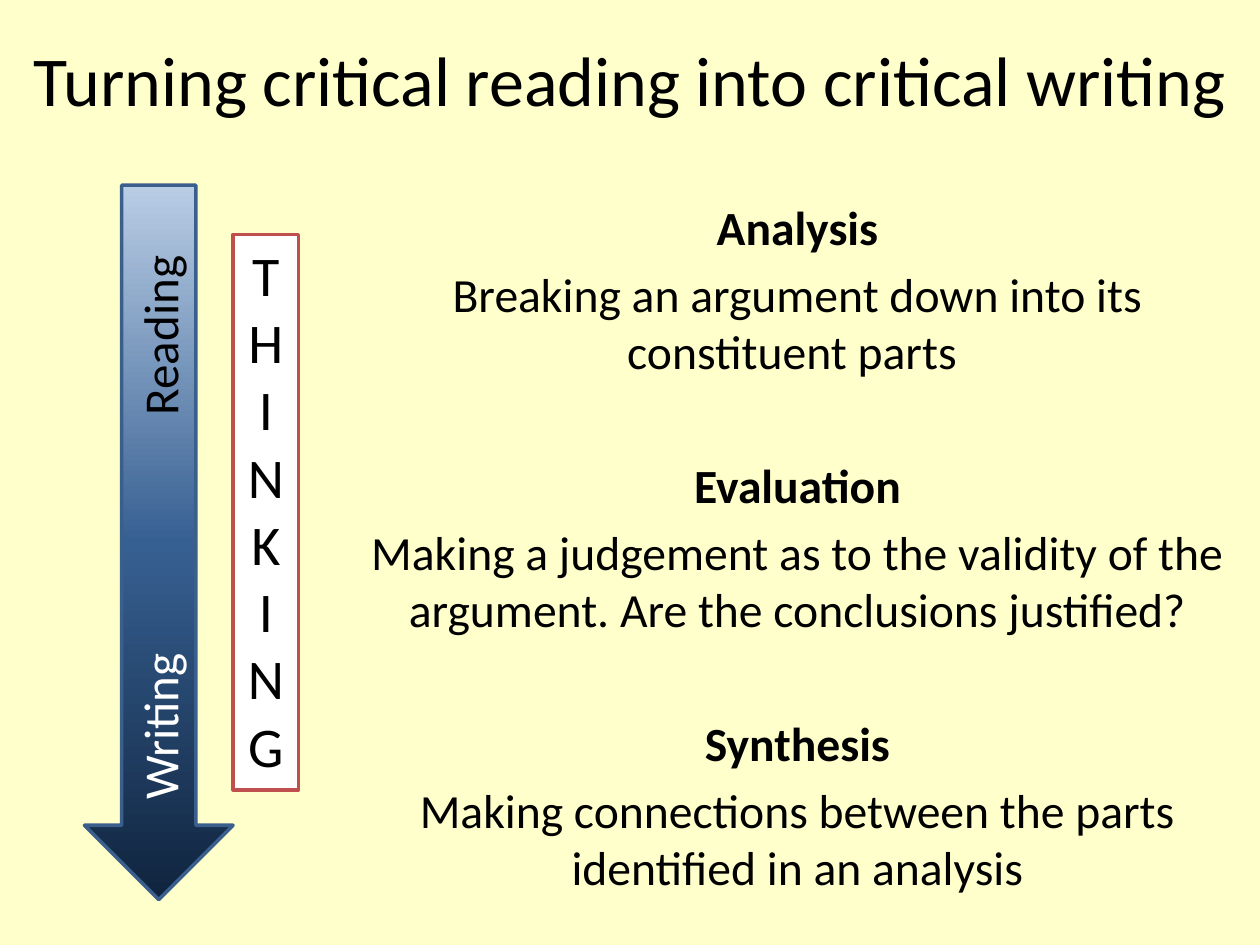
from copy import deepcopy

from pptx import Presentation
from pptx.dml.color import RGBColor
from pptx.enum.shapes import MSO_SHAPE as Shape
from pptx.enum.text import MSO_ANCHOR as Anchor, PP_ALIGN as Align
from pptx.oxml.ns import qn
from pptx.util import Inches, Pt

WIDTH, HEIGHT = 10, 7.5
FONT = "Calibri"
COLOURS = {
    "background": "FFFFCC",
    "text": "000000",
    "light": "FFFFFF",
    "arrow_line": "3A5F8C",
    "thinking_line": "C0504D",
}
ARROW_STOPS = [(0, "B9CDE5"), (50, "376092"), (100, "0F243E")]
BODY_SIZE = 27.2
SPACE = 0.2 * BODY_SIZE
LINE_HEIGHT = 1.22 * BODY_SIZE
STAGES = [
    ("Analysis", "Breaking an argument down into its constituent parts "),
    ("Evaluation", "Making a judgement as to the validity of the argument. "
                   "Are the conclusions justified?"),
    ("Synthesis", "Making connections between the parts identified in an analysis"),
]


def rgb(name):
    return RGBColor.from_string(COLOURS[name])


def area(left, top, width, height):
    """Turn shares of the slide's size into lengths."""
    return [Inches(share * side) for share, side in
            zip((left, top, width, height), (WIDTH, HEIGHT) * 2)]


def write(paragraph, text, size, colour="text", bold=False):
    paragraph.text = text
    paragraph.alignment = Align.CENTER
    font = paragraph.font
    font.name, font.size, font.bold = FONT, Pt(size), bold
    font.color.rgb = rgb(colour)


def add_text(slide, place, text, size, colour="text", rotation=0):
    box = slide.shapes.add_textbox(*area(*place))
    box.rotation = rotation
    frame = box.text_frame
    frame.word_wrap = True
    frame.vertical_anchor = Anchor.MIDDLE
    write(frame.paragraphs[0], text, size, colour)


def add_outlined(slide, kind, place, line_colour):
    shape = slide.shapes.add_shape(kind, *area(*place))
    shape.shadow.inherit = False
    shape.line.color.rgb = rgb(line_colour)
    shape.line.width = Pt(2)
    return shape


def shade_downwards(shape, stops):
    """Fill with a top-to-bottom gradient of (percent, hex) stops."""
    shape.fill.gradient()
    shape.fill.gradient_angle = 270
    stop_list = shape.element.spPr.find(".//" + qn("a:gsLst"))
    while len(stop_list) < len(stops):
        stop_list.append(deepcopy(stop_list[0]))
    for stop, (percent, colour) in zip(shape.fill.gradient_stops, stops):
        stop.position = percent / 100
        stop.color.rgb = RGBColor.from_string(colour)


def add_stages(slide, place):
    frame = slide.shapes.add_textbox(*area(*place)).text_frame
    frame.word_wrap = True
    for index, (heading, meaning) in enumerate(STAGES):
        title = frame.add_paragraph() if index else frame.paragraphs[0]
        write(title, heading, BODY_SIZE, bold=True)
        if index:
            title.space_before = Pt(LINE_HEIGHT + 2 * SPACE)
        detail = frame.add_paragraph()
        write(detail, meaning, BODY_SIZE)
        detail.space_before = Pt(SPACE)


def add_thinking(slide, place):
    """Narrow box in which the word wraps to one letter a line."""
    box = add_outlined(slide, Shape.RECTANGLE, place, "thinking_line")
    box.fill.solid()
    box.fill.fore_color.rgb = rgb("light")
    frame = box.text_frame
    frame.word_wrap = True
    frame.vertical_anchor = Anchor.TOP
    write(frame.paragraphs[0], "THINKING", 32)


def main():
    deck = Presentation()
    deck.slide_width, deck.slide_height = Inches(WIDTH), Inches(HEIGHT)
    slide = deck.slides.add_slide(deck.slide_layouts[6])
    slide.background.fill.solid()
    slide.background.fill.fore_color.rgb = rgb("background")

    add_text(slide, (0, 0, 1, 1 / 6),
             "Turning critical reading into critical writing", 40)
    add_stages(slide, (0.266, 0.203, 0.734, 0.701))
    arrow = add_outlined(slide, Shape.DOWN_ARROW,
                         (0.067, 0.196, 0.118, 0.756), "arrow_line")
    shade_downwards(arrow, ARROW_STOPS)
    for label, top, colour in (("Reading", 0.317, "text"),
                               ("Writing", 0.731, "light")):
        add_text(slide, (0.016, top, 0.22, 0.076), label, 28, colour, rotation=270)
    add_thinking(slide, (0.185, 0.248, 0.052, 0.588))
    deck.save("out.pptx")


if __name__ == "__main__":
    main()
